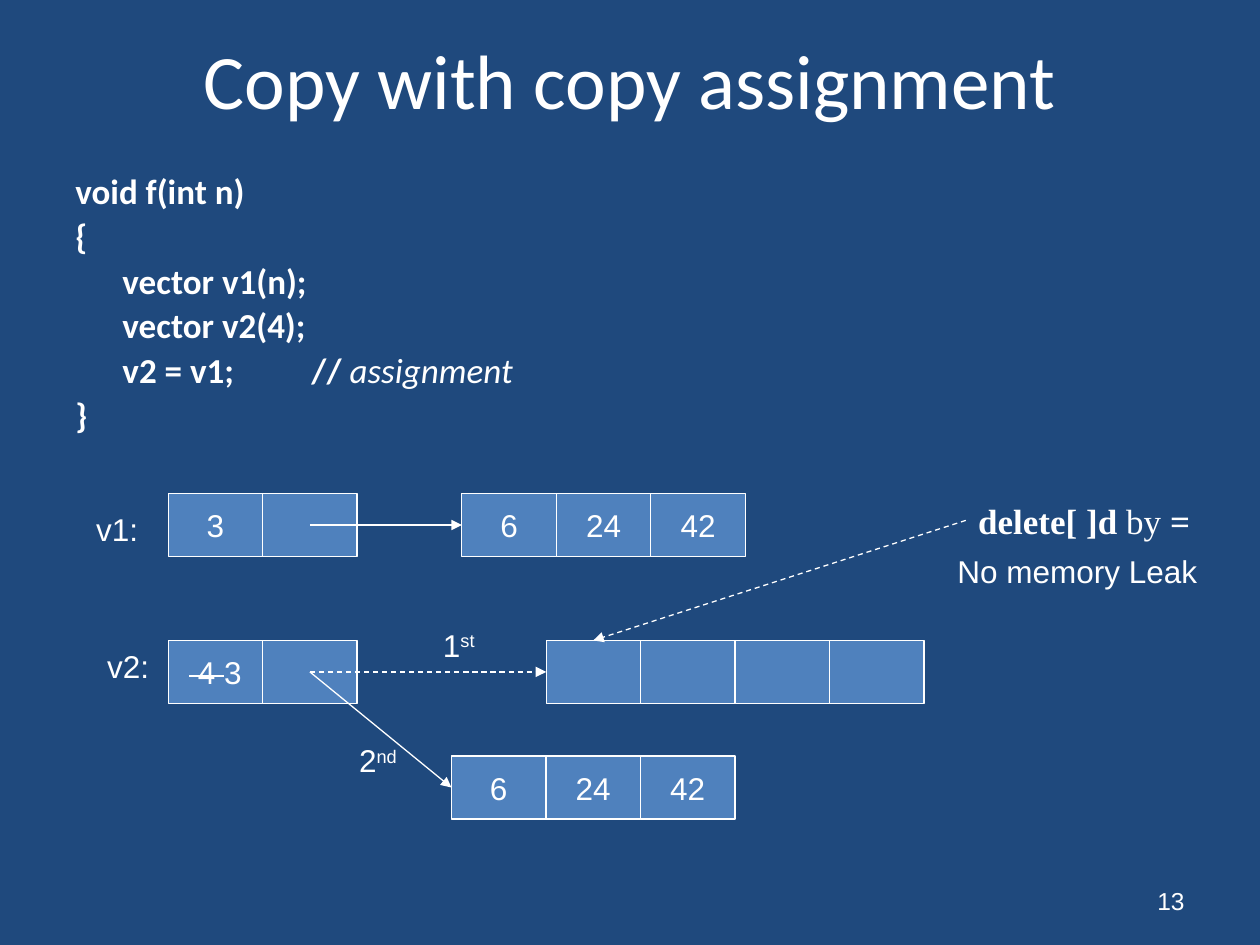
import pptx
import pptx.util
import pptx.dml.color
import pptx.enum.dml
import pptx.enum.shapes
import pptx.enum.text
import pptx.oxml

Cm = pptx.util.Cm
Pt = pptx.util.Pt
Align = pptx.enum.text.PP_ALIGN
Anchor = pptx.enum.text.MSO_ANCHOR
WHITE, NAVY, BLUE = "FFFFFF", "1F497D", "4F81BD"
CELL_WIDTH, CELL_HEIGHT = 1.905, 1.27


def color(value):
    return pptx.dml.color.RGBColor.from_string(value)


def write(para, text, size=18, font="Arial", bold=False, italic=False, **extra):
    span = para.add_run()
    span.text = text
    span.font.size = Pt(size)
    span.font.name = font
    span.font.bold = bold
    span.font.italic = italic
    span.font.color.rgb = color(WHITE)
    for name, value in extra.items():
        span.font._element.set(name, value)


deck = pptx.Presentation()
deck.slide_width, deck.slide_height = Cm(25.4), Cm(19.05)
page = deck.slides.add_slide(deck.slide_layouts[6])
page.background.fill.solid()
page.background.fill.fore_color.rgb = color(NAVY)

calibri = {"font": "Calibri"}
code = {"font": "Calibri", "size": 20, "bold": True}
times = {"font": "Times New Roman", "size": 20}
raised = {"baseline": "30000"}
middle, top = Anchor.MIDDLE, Anchor.TOP

texts = [
    (1.27, 0, 22.86, 3.18, Align.CENTER, middle,
     [[("Copy with copy assignment", {**calibri, "size": 44})]]),
    (1.27, 3.39, 22.86, 5.93, Align.LEFT, top, [
        [("void f(int n)", code)],
        [("{", code)],
        [("\tvector v1(n);", code)],
        [("\tvector v2(4);", code)],
        [("\tv2 = v1;\t\t// ", code),
         ("assignment", {**code, "bold": False, "italic": True})],
        [("}", code)]]),
    (18.2, 17.65, 5.93, 1.02, Align.RIGHT, middle, [[("13", {"size": 14})]]),
    (1.69, 10.16, 1.69, 1.02, Align.LEFT, top, [[("v1:", {})]]),
    (1.91, 12.91, 1.69, 1.02, Align.LEFT, top, [[("v2:", {})]]),
    (6.99, 14.82, 2.75, 1.02, Align.LEFT, top, [[("2", {}), ("nd", raised)]]),
    (8.68, 12.49, 2.75, 1.02, Align.LEFT, top, [[("1", {}), ("st", raised)]]),
    (19.47, 9.95, 5.29, 1.1, Align.LEFT, top,
     [[("delete[ ]d ", {**times, "bold": True}), ("by", times),
       (" =", {**times, "bold": True})]]),
    (19.05, 11.01, 5.72, 1.02, Align.LEFT, top, [[("No memory Leak", {})]]),
]

struck = {"strike": "sngStrike"}
arrays = [
    (3.39, 9.95, [[("3", {})], []]),
    (9.31, 9.95, [[("6", {})], [("24", {})], [("42", {})]]),
    (3.39, 12.91, [[(" 4 ", struck), ("3", {})], []]),
    (11.01, 12.91, [[], [], [], []]),
    (9.1, 15.24, [[("6", {})], [("24", {})], [("42", {})]]),
]
for left, y, cells in arrays:
    for index, spans in enumerate(cells):
        cell = page.shapes.add_shape(
            pptx.enum.shapes.MSO_SHAPE.RECTANGLE, Cm(left + index * CELL_WIDTH),
            Cm(y), Cm(CELL_WIDTH), Cm(CELL_HEIGHT))
        cell.shadow.inherit = False
        cell.fill.solid()
        cell.fill.fore_color.rgb = color(BLUE)
        cell.line.color.rgb = color(WHITE)
        cell.line.width = Pt(0.75)
        cell.text_frame.word_wrap = False
        cell.text_frame.vertical_anchor = middle
        para = cell.text_frame.paragraphs[0]
        para.alignment = Align.CENTER
        for text, style in spans:
            write(para, text, **style)

for left, y, width, height, align, anchor, lines in texts:
    box = page.shapes.add_textbox(Cm(left), Cm(y), Cm(width), Cm(height))
    frame = box.text_frame
    frame.word_wrap = True
    frame.vertical_anchor = anchor
    for index, spans in enumerate(lines):
        para = frame.add_paragraph() if index else frame.paragraphs[0]
        para.alignment = align
        if len(lines) > 1:
            para.line_spacing = 0.9
            para.space_before = Pt(4)
            properties = para._p.get_or_add_pPr()
            properties.set("marL", str(Cm(0.95)))
            properties.set("indent", str(-Cm(0.95)))
        for text, style in spans:
            write(para, text, **style)

pointer_x = 3.39 + 1.5 * CELL_WIDTH
v1_y, v2_y, copy_y = (y + CELL_HEIGHT / 2 for y in (9.95, 12.91, 15.24))
arrows = [
    (pointer_x, v1_y, 9.31, v1_y, False),
    (pointer_x, v2_y, 9.1, copy_y, False),
    (pointer_x, v2_y, 11.01, v2_y, True),
    (19.47, 10.49, 11.96, 12.91, True),
]
for x1, y1, x2, y2, dashed in arrows:
    arrow = page.shapes.add_connector(
        pptx.enum.shapes.MSO_CONNECTOR.STRAIGHT, Cm(x1), Cm(y1), Cm(x2), Cm(y2))
    arrow.line.color.rgb = color(WHITE)
    arrow.line.width = Pt(0.75)
    if dashed:
        arrow.line.dash_style = pptx.enum.dml.MSO_LINE.DASH
    namespace = 'xmlns:a="http://schemas.openxmlformats.org/drawingml/2006/main"'
    arrow.line._get_or_add_ln().append(
        pptx.oxml.parse_xml(f'<a:tailEnd {namespace} type="triangle"/>'))
    arrow._element.spPr.append(pptx.oxml.parse_xml(f"<a:effectLst {namespace}/>"))

deck.save("out.pptx")
